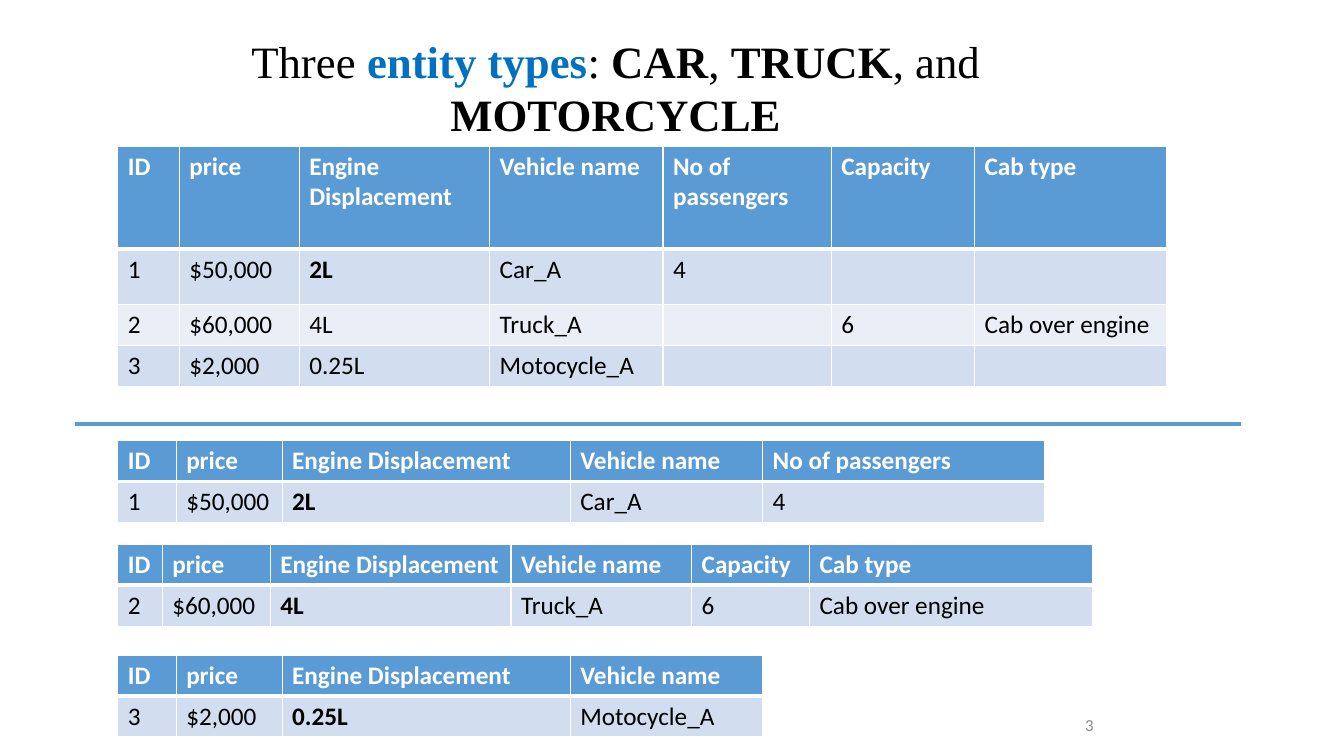
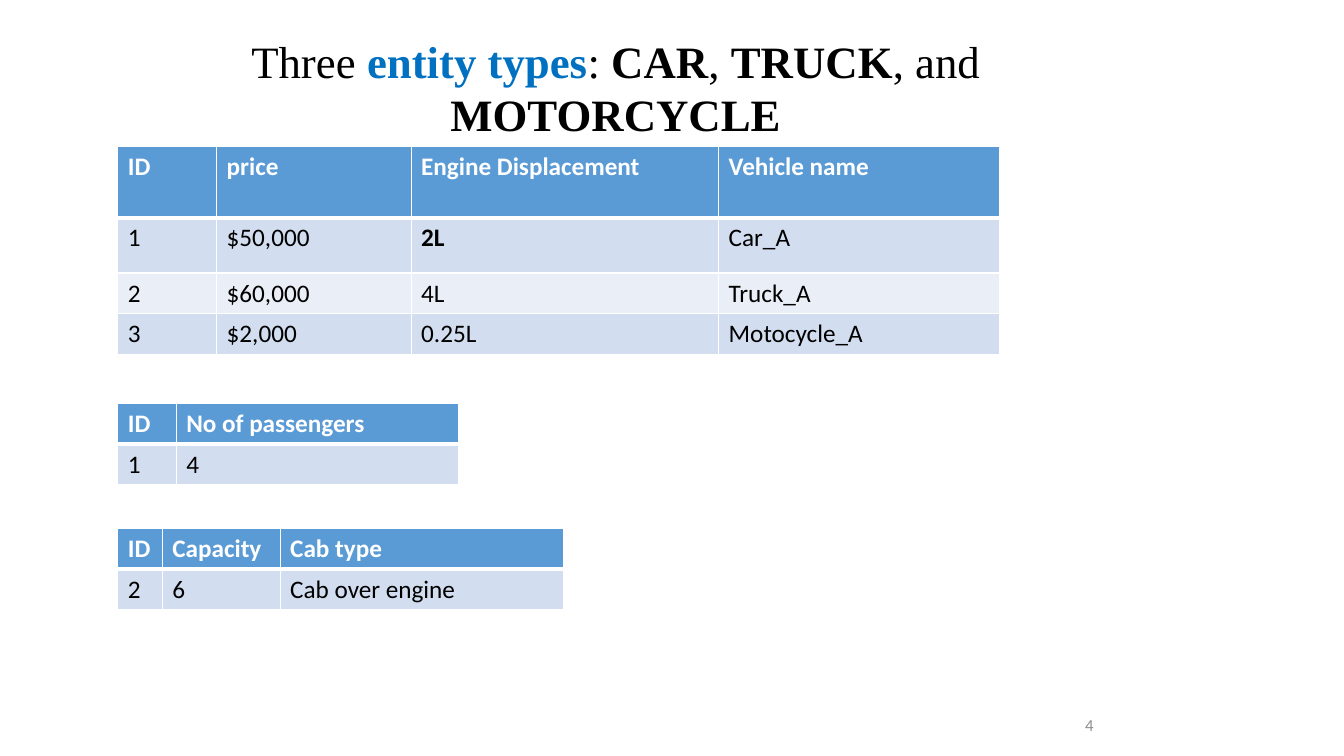
from lxml import etree
from pptx import Presentation
from pptx.dml.color import RGBColor
from pptx.enum import shapes, text
from pptx.oxml import ns
from pptx.util import Cm, Pt

BLACK = RGBColor(0x00, 0x00, 0x00)
WHITE = RGBColor(0xFF, 0xFF, 0xFF)
GRAY = RGBColor(0x8C, 0x8C, 0x8C)
ACCENT = RGBColor(0x00, 0x70, 0xC0)
BLUE = RGBColor(0x5B, 0x9B, 0xD5)
BANDS = (RGBColor(0xD2, 0xDE, 0xEF), RGBColor(0xEA, 0xEF, 0xF7))

LEFT = 2.97
ROW = 1.03
THIN, THICK = Pt(1), Pt(3)

ENGINE = "Engine Displacement"
COMMON = ("ID", "price", ENGINE, "Vehicle name")
CAR = {"ID": "1", "price": "$50,000", ENGINE: "2L", "Vehicle name": "Car_A", "No of passengers": "4"}
TRUCK = {"ID": "2", "price": "$60,000", ENGINE: "4L", "Vehicle name": "Truck_A",
         "Capacity": "6", "Cab type": "Cab over engine"}
MOTORCYCLE = {"ID": "3", "price": "$2,000", ENGINE: "0.25L", "Vehicle name": "Motocycle_A"}
VEHICLES = (CAR, TRUCK, MOTORCYCLE)

TITLE = (("Three ", {}), ("entity types", {"bold": True, "color": ACCENT}), (": ", {}),
         ("CAR", {"bold": True}), (", ", {}), ("TRUCK", {"bold": True}), (", and ", {}),
         ("MOTORCYCLE", {"bold": True}))


def write(para, words, size=18, font="Calibri", color=BLACK, bold=False):
    """Append one formatted span to a paragraph."""
    span = para.add_run()
    span.text = words
    span.font.size = Pt(size)
    span.font.name = font
    span.font.bold = bold
    span.font.color.rgb = color


def draw_border(cell, side, width):
    """Draw one white border of a table cell."""
    properties = cell._tc.get_or_add_tcPr()
    line = etree.SubElement(properties, ns.qn(f"a:ln{side}"), w=str(width))
    fill = etree.SubElement(line, ns.qn("a:solidFill"))
    etree.SubElement(fill, ns.qn("a:srgbClr"), val=str(WHITE))


class Slides:
    """Hold the deck, its shared style and the current page."""

    def __init__(self):
        self.deck = Presentation()
        self.deck.slide_width, self.deck.slide_height = Cm(33.87), Cm(19.05)
        self.page = None

    def start(self, number):
        """Add a page with the shared title and its number."""
        self.page = self.deck.slides.add_slide(self.deck.slide_layouts[5])
        title = self.page.shapes.title
        title.left, title.top, title.width, title.height = Cm(4.72), Cm(0.71), Cm(21.59), Cm(2.06)
        frame = title.text_frame
        frame.auto_size = text.MSO_AUTO_SIZE.NONE
        frame.word_wrap = True
        frame.vertical_anchor = text.MSO_ANCHOR.TOP
        para = frame.paragraphs[0]
        para.alignment = text.PP_ALIGN.CENTER
        for words, style in TITLE:
            write(para, words, size=32, font="Times New Roman", **style)
        box = self.page.shapes.add_textbox(Cm(27.1), Cm(17.93), Cm(2.11), Cm(0.69))
        box.text_frame.word_wrap = True
        box.text_frame.vertical_anchor = text.MSO_ANCHOR.MIDDLE
        write(box.text_frame.paragraphs[0], str(number), size=12, color=GRAY)

    def table(self, top, columns, widths, records, heights=None):
        """Add a table of the chosen columns, one row per record."""
        heights = heights or [ROW] * (len(records) + 1)
        table = self.page.shapes.add_table(
            len(heights), len(columns), Cm(LEFT), Cm(top), Cm(sum(widths)), Cm(sum(heights))).table
        for column, width in zip(table.columns, widths):
            column.width = Cm(width)
        for row, height in zip(table.rows, heights):
            row.height = Cm(height)
        for index, name in enumerate(columns):
            self.cell(table.cell(0, index), name, 0, bold=True, color=WHITE)
            for row, record in enumerate(records, 1):
                bold = row == 1 and name == ENGINE
                self.cell(table.cell(row, index), record.get(name, ""), row, bold=bold)

    def cell(self, cell, words, row, **style):
        """Fill, outline and label one table cell."""
        for side in "LRTB":
            heavy = (row, side) in ((0, "B"), (1, "T"))
            draw_border(cell, side, THICK if heavy else THIN)
        cell.fill.solid()
        cell.fill.fore_color.rgb = BANDS[(row - 1) % 2] if row else BLUE
        write(cell.text_frame.paragraphs[0], words, **style)

    def divider(self, left, right, top):
        """Add a horizontal rule."""
        line = self.page.shapes.add_connector(
            shapes.MSO_CONNECTOR.STRAIGHT, Cm(left), Cm(top), Cm(right), Cm(top))
        line.line.color.rgb = BLUE
        line.line.width = Pt(2.75)
        etree.SubElement(line._element.spPr, ns.qn("a:effectLst"))


def main():
    """Build both pages and save the deck."""
    slides = Slides()
    passengers, cab = ("No of passengers",), ("Capacity", "Cab type")
    common_widths = (1.47, 2.67, 7.26, 4.85)

    slides.start(3)
    slides.table(3.68, COMMON + passengers + cab, (1.55, 3.02, 4.8, 4.37, 4.24, 3.61, 4.83),
                 VEHICLES, (2.6, 1.39, ROW, ROW))
    slides.table(11.1, COMMON + passengers, common_widths + (7.11,), [CAR])
    slides.table(13.72, COMMON + cab, (1.12, 2.72, 6.07, 4.55, 2.97, 7.14), [TRUCK])
    slides.table(16.51, COMMON, common_widths, [MOTORCYCLE])
    slides.divider(1.88, 31.27, 10.69)

    slides.start(4)
    slides.table(3.68, COMMON, (2.49, 4.9, 7.75, 7.09), VEHICLES, (1.81, 1.39, ROW, ROW))
    slides.table(10.16, ("ID",) + passengers, (1.47, 7.11), [CAR])
    slides.table(13.31, ("ID",) + cab, (1.12, 2.97, 7.14), [TRUCK])

    slides.deck.save("out.pptx")


if __name__ == "__main__":
    main()
